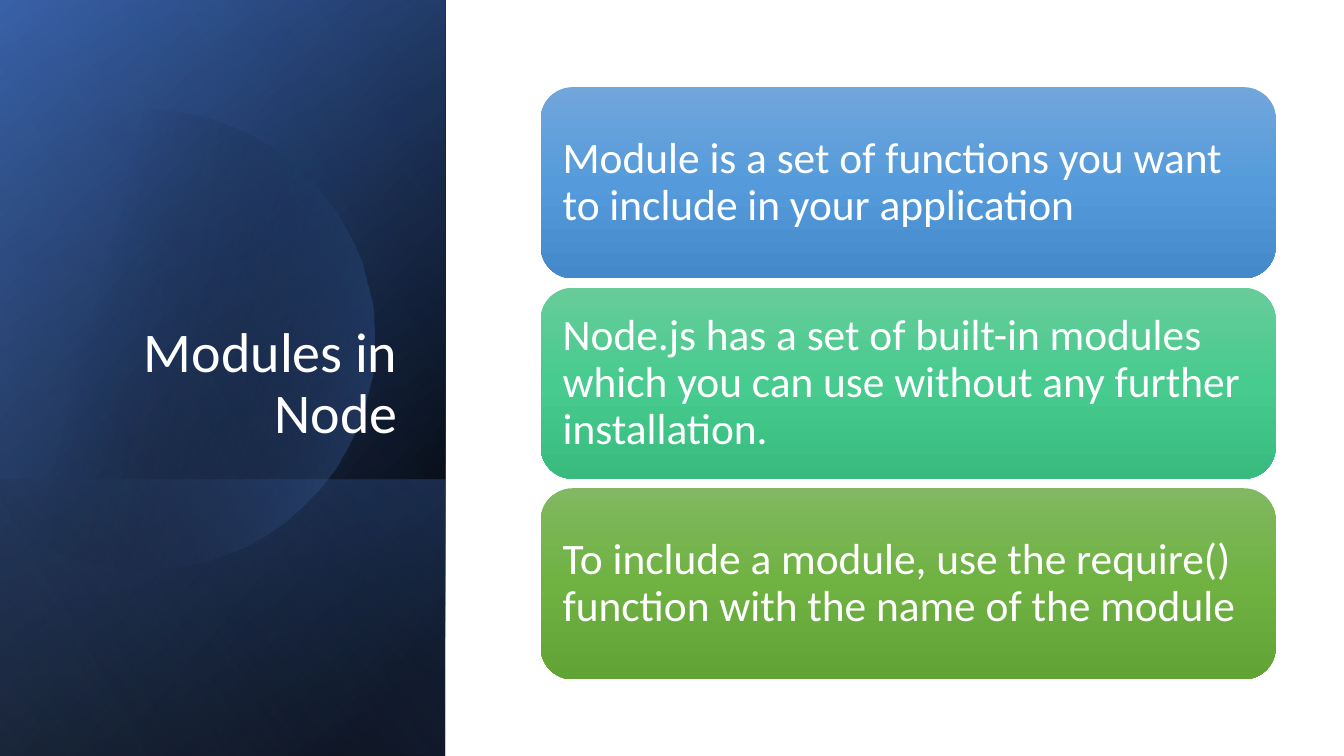
from math import acos, cos, sin, pi

from lxml.etree import SubElement
from pptx import Presentation
from pptx.dml.color import RGBColor
from pptx.enum.shapes import MSO_SHAPE
from pptx.enum.text import MSO_ANCHOR, PP_ALIGN
from pptx.oxml.ns import qn
from pptx.util import Emu, Pt

EMU_PER_PX = 9525
PANEL_WIDTH, SLIDE_HEIGHT = 424, 720


def px(length):
    return Emu(round(length * EMU_PER_PX))


def color(hex_string):
    return RGBColor.from_string(hex_string)


def write_text(frame, text, size, font="Calibri", ink="FFFFFF",
               align=PP_ALIGN.LEFT, anchor=MSO_ANCHOR.MIDDLE):
    frame.word_wrap = True
    frame.vertical_anchor = anchor
    paragraph = frame.paragraphs[0]
    paragraph.alignment = align
    paragraph.line_spacing = 0.9
    run = paragraph.add_run()
    run.text = text
    run.font.name = font
    run.font.size = Pt(size)
    run.font.color.rgb = color(ink)


class SlideBuilder:
    def __init__(self, slide):
        self.shapes = slide.shapes

    def paint(self, shape, stops, angle):
        """Fill with (position %, colour, opacity %) stops, angle clockwise."""
        shape.shadow.inherit = False
        shape.line.fill.background()
        shape.fill.gradient()
        gradient = shape._element.spPr.find(qn("a:gradFill"))
        gradient.find(qn("a:lin")).set("ang", str(angle * 60000))
        stop_list = gradient.find(qn("a:gsLst"))
        for default_stop in list(stop_list):
            stop_list.remove(default_stop)
        for position, hex_string, opacity in stops:
            stop = SubElement(stop_list, qn("a:gs"), pos=str(position * 1000))
            tint = SubElement(stop, qn("a:srgbClr"), val=str(color(hex_string)))
            if opacity < 100:
                SubElement(tint, qn("a:alpha"), val=str(opacity * 1000))

    def panel(self, top, stops, angle):
        """Mirrored quarter-turned rectangle from top to the slide's foot."""
        height = SLIDE_HEIGHT - top
        left = (PANEL_WIDTH - height) / 2
        shape = self.shapes.add_shape(
            MSO_SHAPE.RECTANGLE, px(left), px(top - left),
            px(height), px(PANEL_WIDTH))
        shape.rotation = 90
        shape._element.spPr.find(qn("a:xfrm")).set("flipH", "1")
        self.paint(shape, stops, angle)

    def cut_circle(self, center_x, center_y, radius, stops, angle, steps=120):
        """Circle cut off along the slide's left edge."""
        limit = acos(-center_x / radius)
        turns = [limit * (2 * step / steps - 1) for step in range(steps + 1)]
        points = [(center_x + radius * cos(turn), center_y + radius * sin(turn))
                  for turn in turns]
        builder = self.shapes.build_freeform(*points[0], scale=EMU_PER_PX)
        builder.add_line_segments(points[1:], close=True)
        self.paint(builder.convert_to_shape(), stops, angle)

    def title(self, text, left, top, width, height):
        box = self.shapes.add_textbox(px(left), px(top), px(width), px(height))
        write_text(box.text_frame, text, 40, align=PP_ALIGN.RIGHT,
                   anchor=MSO_ANCHOR.BOTTOM)

    def card(self, text, left, top, width, height, shades, inset=12):
        shape = self.shapes.add_shape(
            MSO_SHAPE.ROUNDED_RECTANGLE, px(left), px(top), px(width), px(height))
        self.paint(shape, [(50 * index, shade, 100)
                           for index, shade in enumerate(shades)], 90)
        frame = shape.text_frame
        frame.margin_left = frame.margin_right = px(inset)
        frame.margin_top = frame.margin_bottom = px(inset)
        write_text(frame, text, 31)


CARDS = [
    ("Module is a set of functions you want to include in your application",
     ("71A6DB", "559BDB", "448ACA")),
    ("Node.js has a set of built-in modules which you can use without any "
     "further installation.",
     ("67CC9A", "47CB8E", "39BB7F")),
    ("To include a module, use the require() function with the name of the "
     "module",
     ("81B861", "6FB242", "62A336")),
]


def main():
    presentation = Presentation()
    presentation.slide_width = px(1280)
    presentation.slide_height = px(SLIDE_HEIGHT)
    slide = presentation.slides.add_slide(presentation.slide_layouts[6])
    builder = SlideBuilder(slide)

    builder.panel(0, [(8, "000000", 100), (100, "2F5597", 100)], 50)
    builder.panel(0, [(0, "000000", 0), (99, "4472C4", 46)], 30)
    builder.panel(457, [(2, "4472C4", 29), (100, "000000", 30)], 130)
    builder.cut_circle(138, 323, 219,
                       [(29, "000000", 0), (100, "4472C4", 43)], 14)
    builder.panel(0, [(0, "000000", 0), (99, "8FAADC", 11)], 120)

    builder.title("Modules in Node", 61, 177, 327, 252)
    for index, (text, shades) in enumerate(CARDS):
        builder.card(text, 515, 83 + 191 * index, 700, 182, shades)

    presentation.save("out.pptx")


if __name__ == "__main__":
    main()
